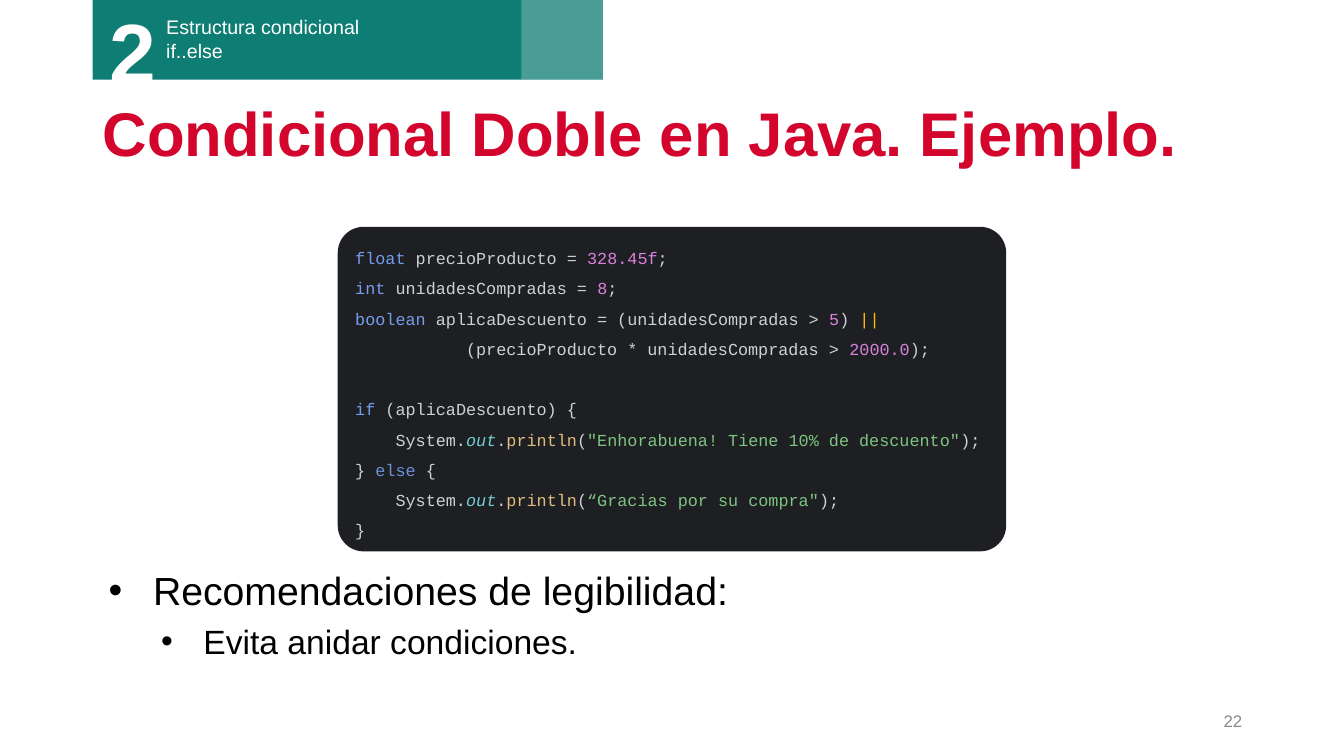
"""Builds the slide on the double conditional in Java."""
from lxml import etree
from pptx import Presentation
from pptx import util as u
from pptx.dml.color import RGBColor
from pptx.enum import shapes, text
from pptx.oxml.ns import qn

THEME = {
    "font": "Arial", "mono": "Courier New",
    "white": "FFFFFF", "teal": "0E7D73", "red": "D3052C",
    "black": "000000", "grey": "888888", "editor": "1E1F22",
    "chapter_size": 60, "title_size": 44, "topic_size": 14,
    "small_size": 12, "body_sizes": (28, 24),
    "code": {"plain": "CED0D6", "type": "749DED", "else": "6C91D9",
             "number": "D981DE", "or": "FFC000", "field": "72CFD6",
             "method": "DEBC7E", "string": "7EC482"},
}
CHAPTER = "2"
TOPIC = ["Estructura condicional", "if..else"]
TITLE = "Condicional Doble en Java. Ejemplo."
PAGE_NUMBER = "22"
ADVICE = ["Recomendaciones de legibilidad:", "Evita anidar condiciones."]
BULLET_INDENTS = [(0.5, -0.44), (1, -0.42)]
SPACE_BEFORE = [0, 5]


def print_line(message):
    """Return the coloured parts of one println call."""
    return [("plain", "    System."), ("field", "out"), ("plain", "."),
            ("method", "println"), ("plain", "("), ("string", message),
            ("plain", ");")]


CODE = [
    [
        [("type", "float "), ("plain", "precioProducto = "),
         ("number", "328.45f"), ("plain", ";")],
        [("type", "int "), ("plain", "unidadesCompradas = "),
         ("number", "8"), ("plain", ";")],
        [("type", "boolean "),
         ("plain", "aplicaDescuento = (unidadesCompradas > "),
         ("number", "5"), ("plain", ")"), ("or", " ||")],
    ],
    [
        [("plain", "           (precioProducto * unidadesCompradas > "),
         ("number", "2000.0"), ("plain", ");")],
        [],
        [("type", "if "), ("plain", "(aplicaDescuento) {")],
        print_line('"Enhorabuena! Tiene 10% de descuento"'),
        [("plain", "} "), ("else", "else"), ("plain", " {")],
        print_line('“Gracias por su compra"'),
        [("plain", "}")],
    ],
]


def add_block(parent, kind, place, color):
    """Add a plain filled shape."""
    block = parent.add_shape(kind, *map(u.Inches, place))
    block.shadow.inherit = False
    block.fill.solid()
    block.fill.fore_color.rgb = RGBColor.from_string(color)
    block.line.fill.background()
    return block


def add_box(parent, place, anchor=text.MSO_ANCHOR.TOP):
    """Add a wrapping text box and return its text frame."""
    frame = parent.add_textbox(*map(u.Inches, place)).text_frame
    frame.word_wrap = True
    frame.vertical_anchor = anchor
    return frame


def add_span(para, words, size, color, font=THEME["font"], bold=False, italic=False):
    """Add one formatted run."""
    span = para.add_run()
    span.text = words
    span.font.name = font
    span.font.size = u.Pt(size)
    span.font.bold = bold
    span.font.italic = italic
    span.font.color.rgb = RGBColor.from_string(color)


def add_bullet(para, indent):
    """Give a paragraph a hanging round bullet."""
    props = para._p.get_or_add_pPr()
    props.set("marL", str(u.Inches(indent[0])))
    props.set("indent", str(u.Inches(indent[1])))
    tint = etree.SubElement(props, qn("a:buClr"))
    etree.SubElement(tint, qn("a:srgbClr"), val=THEME["black"])
    etree.SubElement(props, qn("a:buFont"), typeface=THEME["font"])
    etree.SubElement(props, qn("a:buChar"), char="•")


def add_header(page):
    """Add the chapter band at the top."""
    band = page.shapes.add_group_shape().shapes
    rectangle = shapes.MSO_SHAPE.RECTANGLE
    add_block(band, rectangle, (0.92, -0.01, 5.06, 0.8), THEME["teal"])
    para = add_box(band, (1.55, 0.1, 2.75, 0.57)).paragraphs[0]
    for number, line in enumerate(TOPIC):
        if number:
            para.add_line_break()
        add_span(para, line, THEME["topic_size"], THEME["white"])
    para = add_box(band, (0.99, -0.05, 1.12, 1.11)).paragraphs[0]
    add_span(para, CHAPTER, THEME["chapter_size"], THEME["white"], bold=True)
    veil = add_block(band, rectangle, (5.17, -0.01, 0.81, 0.8), THEME["white"])
    tint = veil._element.spPr.find(qn("a:solidFill"))[0]
    etree.SubElement(tint, qn("a:alpha"), val="25000")


def add_advice(page):
    """Add the bulleted advice."""
    frame = add_box(page.shapes, (0.92, 5.57, 11.5, 1.34))
    for level, words in enumerate(ADVICE):
        para = frame.add_paragraph() if level else frame.paragraphs[0]
        para.level = level
        para.space_before = u.Pt(SPACE_BEFORE[level])
        add_bullet(para, BULLET_INDENTS[level])
        add_span(para, words, THEME["body_sizes"][level], THEME["black"])


def add_code(page):
    """Add the dark panel with the coloured code."""
    panel = add_block(page.shapes, shapes.MSO_SHAPE.ROUNDED_RECTANGLE,
                      (3.35, 2.25, 6.63, 3.22), THEME["editor"])
    panel.adjustments[0] = 0.08
    frame = panel.text_frame
    frame.word_wrap = False
    frame.auto_size = text.MSO_AUTO_SIZE.SHAPE_TO_FIT_TEXT
    frame.vertical_anchor = text.MSO_ANCHOR.MIDDLE
    for order, lines in enumerate(CODE):
        para = frame.add_paragraph() if order else frame.paragraphs[0]
        para.alignment = text.PP_ALIGN.LEFT
        para.line_spacing = 1.5
        para.font.size = u.Pt(THEME["small_size"])
        for number, line in enumerate(lines):
            if number:
                para.add_line_break()
            for kind, words in line:
                add_span(para, words, THEME["small_size"], THEME["code"][kind],
                         THEME["mono"], italic=kind == "field")
    for gap in panel._element.iter(qn("a:br")):
        etree.SubElement(gap, qn("a:rPr"), sz=str(THEME["small_size"] * 100))


def main():
    """Build and save the deck."""
    deck = Presentation()
    deck.slide_width, deck.slide_height = u.Inches(13.33), u.Inches(7.5)
    page = deck.slides.add_slide(deck.slide_layouts[6])
    middle = text.MSO_ANCHOR.MIDDLE
    add_header(page)
    para = add_box(page.shapes, (0.92, 0.93, 11.5, 0.86), middle).paragraphs[0]
    para.line_spacing = 0.9
    add_span(para, TITLE, THEME["title_size"], THEME["red"], bold=True)
    para = add_box(page.shapes, (9.42, 6.95, 3, 0.4), middle).paragraphs[0]
    para.alignment = text.PP_ALIGN.RIGHT
    add_span(para, PAGE_NUMBER, THEME["small_size"], THEME["grey"])
    add_advice(page)
    add_code(page)
    deck.save("out.pptx")


if __name__ == "__main__":
    main()
